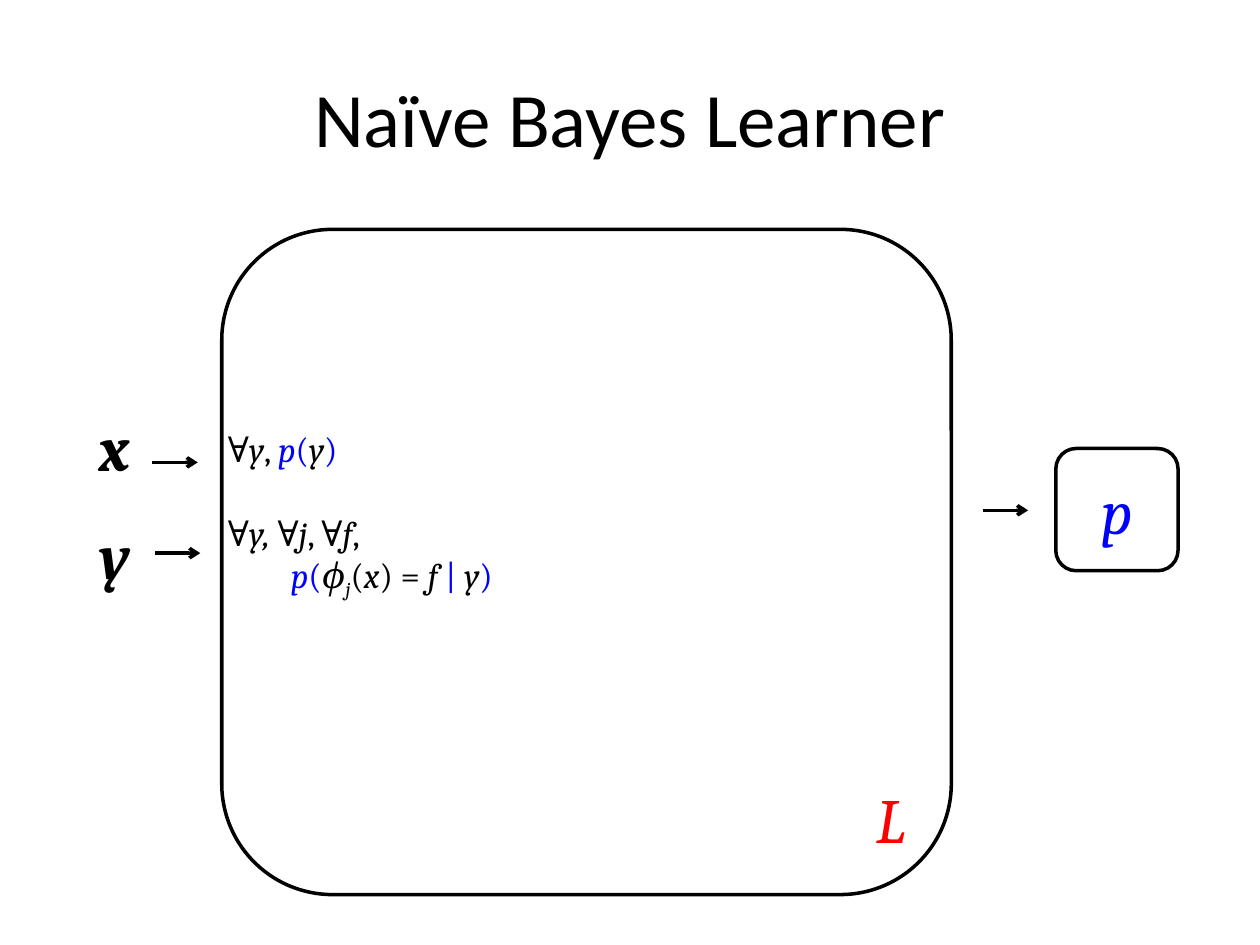
from pptx import Presentation
from pptx.dml.color import RGBColor
from pptx.enum.shapes import MSO_CONNECTOR, MSO_SHAPE
from pptx.enum.text import MSO_ANCHOR, PP_ALIGN
from pptx.util import Inches, Pt
from lxml.etree import SubElement
from pptx.oxml.ns import qn

BLACK, BLUE, RED, WHITE = "000000", "0000FF", "FF0000", "FFFFFF"
TITLE = "Naïve Bayes Learner"
INPUTS = [("x", 0.69, 3.19), ("y", 0.69, 4.05)]
BOXES = [
    ("L", RED, (1.76, 1.82, 5.79, 5.28), MSO_ANCHOR.BOTTOM, PP_ALIGN.RIGHT),
    ("p", BLUE, (8.38, 3.56, 0.97, 0.97), MSO_ANCHOR.MIDDLE, PP_ALIGN.CENTER),
]
ARROWS = [(1.21, 3.67), (1.23, 4.39), (7.8, 4.05)]
REACH = 0.36
STYLES = {
    "up": {},
    "it": {"italic": True},
    "blue": {"color": BLUE},
    "blue it": {"color": BLUE, "italic": True},
    "sub": {"italic": True, "base": -25000},
}
RULES = [
    (0, 0, [("∀", "up"), ("y", "it"), (", ", "up"), ("p", "blue it"),
            ("(", "blue"), ("y", "it"), (")", "blue")]),
    (24, 0, [("∀", "up"), ("y, ", "it"), ("∀", "up"), ("j", "it"),
             (", ∀", "up"), ("f", "it"), (",", "up")]),
    (0, 0.5, [("p", "blue it"), ("(", "blue"), ("ϕ", "it"), ("j", "sub"),
              ("(", "up"), ("x", "it"), (") = ", "up"), ("f ", "it"),
              ("| ", "blue"), ("y", "it"), (")", "blue")]),
]


def paint(hue):
    return RGBColor.from_string(hue)


def write(para, text, color=BLACK, base=None, **form):
    run = para.add_run()
    run.text = text
    for key, val in {"name": "Cambria", **form}.items():
        setattr(run.font, key, val)
    run.font.color.rgb = paint(color)
    if base:
        run._r.get_or_add_rPr().set("baseline", str(base))


def stroke(line):
    line.color.rgb = paint(BLACK)
    line.width = Pt(2)


def add_text(slide, spot, wrap):
    frame = slide.shapes.add_textbox(*map(Inches, spot)).text_frame
    frame.word_wrap = wrap
    return frame


def add_box(slide, text, hue, spot, anchor, align):
    box = slide.shapes.add_shape(MSO_SHAPE.ROUNDED_RECTANGLE, *map(Inches, spot))
    box.shadow.inherit = False
    box.fill.solid()
    box.fill.fore_color.rgb = paint(WHITE)
    stroke(box.line)
    box.text_frame.vertical_anchor = anchor
    para = box.text_frame.paragraphs[0]
    para.alignment = align
    write(para, text, hue, size=Pt(36), italic=True)


def add_arrow(slide, left, top):
    ends = map(Inches, (left, top, left + REACH, top))
    arrow = slide.shapes.add_connector(MSO_CONNECTOR.STRAIGHT, *ends)
    stroke(arrow.line)
    SubElement(arrow.line._get_or_add_ln(), qn("a:tailEnd"), type="arrow")
    SubElement(arrow._element.spPr, qn("a:effectLst"))


def add_rules(slide):
    frame = add_text(slide, (1.71, 3.34, 5.92, 1.45), True)
    for i, (gap, inset, parts) in enumerate(RULES):
        para = frame.add_paragraph() if i else frame.paragraphs[0]
        if gap:
            para.space_before = Pt(gap)
        if inset:
            para._p.get_or_add_pPr().set("marL", str(Inches(inset)))
        for text, style in parts:
            write(para, text, size=Pt(20), **STYLES[style])


def main():
    deck = Presentation()
    deck.slide_width, deck.slide_height = Inches(10), Inches(7.5)
    slide = deck.slides.add_slide(deck.slide_layouts[5])
    title = slide.shapes.title
    title.left, title.top, title.width, title.height = map(Inches, (0.5, 0.3, 9, 1.25))
    title.text_frame.vertical_anchor = MSO_ANCHOR.MIDDLE
    head = title.text_frame.paragraphs[0]
    head.alignment = PP_ALIGN.CENTER
    write(head, TITLE, name="Calibri", size=Pt(44))
    for text, left, top in INPUTS:
        frame = add_text(slide, (left, top, 0.52, 0.71), False)
        write(frame.paragraphs[0], text, size=Pt(36), bold=True, italic=True)
    for box in BOXES:
        add_box(slide, *box)
    for spot in ARROWS:
        add_arrow(slide, *spot)
    add_rules(slide)
    deck.save("out.pptx")


if __name__ == "__main__":
    main()
